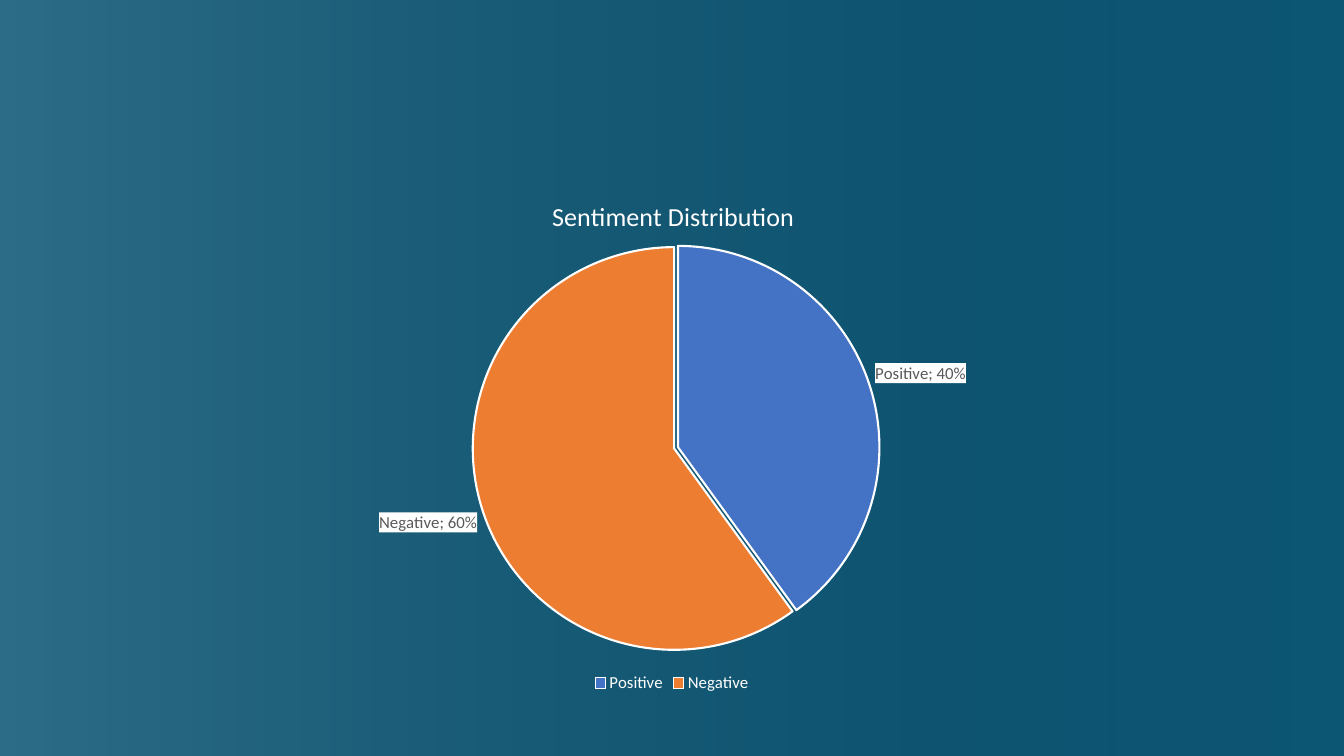
from pptx import Presentation, util as u
from pptx.chart.data import CategoryChartData
from pptx.dml.color import RGBColor
from pptx.enum import chart as charts, shapes
from pptx.oxml import parse_xml
from pptx.oxml.ns import nsdecls, qn

WHITE, GREY, TEAL, MIST = "FFFFFF", "595959", "0C5573", "F6F8FC"
SENTIMENTS = {"Positive": (40, "4472C4"), "Negative": (60, "ED7D31")}


def rgb(color):
    return RGBColor.from_string(color)


def chart_xml(tag, content="", attributes=""):
    return parse_xml(f"<c:{tag} {nsdecls('c', 'a')} {attributes}>{content}</c:{tag}>")


def place(element, **shares):
    """Fix a chart part by shares of the chart's size."""
    values = "".join(f'<c:{key} val="{value}"/>' for key, value in shares.items())
    target = '<c:layoutTarget val="inner"/>' if "w" in shares else ""
    modes = '<c:xMode val="edge"/><c:yMode val="edge"/>'
    layout = chart_xml("layout", f"<c:manualLayout>{target}{modes}{values}</c:manualLayout>")
    present = element.find(qn("c:layout"))
    if present is not None:
        element.replace(present, layout)
    else:
        element.insert(0, layout)


class Deck:
    font = "Calibri"

    def __init__(self):
        self.presentation = Presentation()
        self.presentation.slide_width = u.Inches(13.33)
        self.presentation.slide_height = u.Inches(7.5)
        self.slide = self.presentation.slides.add_slide(self.presentation.slide_layouts[6])

    def box(self, left, top, width, height):
        """Turn shares of the slide into lengths."""
        across, down = self.presentation.slide_width, self.presentation.slide_height
        return int(left * across), int(top * down), int(width * across), int(height * down)

    def style(self, font, size, color):
        font.name, font.size, font.bold = self.font, u.Pt(size), False
        font.color.rgb = rgb(color)

    def background(self, color, glow):
        self.slide.background.fill.solid()
        self.slide.background.fill.fore_color.rgb = rgb(color)
        shape = self.slide.shapes.add_shape(shapes.MSO_SHAPE.RECTANGLE, *self.box(0, 0, 1, 1))
        shape.shadow.inherit = False
        shape.line.fill.background()
        shape.fill.gradient()
        shape.fill.gradient_angle = 0
        for stop, (stop_color, _) in zip(shape.fill.gradient_stops, glow):
            stop.color.rgb = rgb(stop_color)
        for element, (_, opacity) in zip(shape.element.xpath(".//a:gs/a:srgbClr"), glow):
            element.append(parse_xml(f'<a:alpha {nsdecls("a")} val="{opacity * 1000}"/>'))

    def pie(self, title, slices, box):
        data = CategoryChartData()
        data.categories = list(slices)
        data.add_series(title, [value for value, _ in slices.values()])
        chart = self.slide.shapes.add_chart(charts.XL_CHART_TYPE.PIE, *self.box(*box), data).chart
        self.style(chart.font, 10, WHITE)
        chart.plots[0].vary_by_categories = True
        place(chart.element.xpath(".//c:plotArea")[0], x=0.26, y=0.15, w=0.49, h=0.76)

        # Title and legend
        chart.has_title = True
        run = chart.chart_title.text_frame.paragraphs[0].add_run()
        run.text = title
        self.style(run.font, 18.6, WHITE)
        place(chart.element.xpath(".//c:title")[0], x=0.35, y=0.05)
        chart.has_legend = True
        chart.legend.position = charts.XL_LEGEND_POSITION.BOTTOM
        chart.legend.include_in_layout = False
        self.style(chart.legend.font, 12, WHITE)

        # Slices, set slightly apart
        series = chart.plots[0].series[0]
        for index, (_, color) in enumerate(slices.values()):
            point = series.points[index].format
            point.fill.solid()
            point.fill.fore_color.rgb = rgb(color)
            point.line.color.rgb = rgb(WHITE)
            point.line.width = u.Pt(1.5)
        for properties in chart.element.xpath(".//c:dPt/c:spPr"):
            properties.addprevious(chart_xml("explosion", attributes='val="1"'))
        self.labels(chart, series.data_labels)

    def labels(self, chart, labels):
        labels.show_category_name = labels.show_percentage = True
        labels.show_value = False
        labels.number_format, labels.number_format_is_linked = "0%", False
        labels.position = charts.XL_LABEL_POSITION.OUTSIDE_END
        self.style(labels.font, 12, GREY)
        element = chart.element.xpath(".//c:ser/c:dLbls")[0]
        fill = f'<a:solidFill><a:srgbClr val="{WHITE}"/></a:solidFill>'
        element.find(qn("c:txPr")).addprevious(chart_xml("spPr", fill))
        element.find(qn("c:showBubbleSize")).addnext(chart_xml("separator", "; "))


deck = Deck()

# Teal backdrop, lit from the left
deck.background(TEAL, [(MIST, 15), ("000000", 0)])

# Sentiment pie
deck.pie("Sentiment Distribution", SENTIMENTS, (0.191, 0.221, 0.618, 0.701))

deck.presentation.save("out.pptx")
